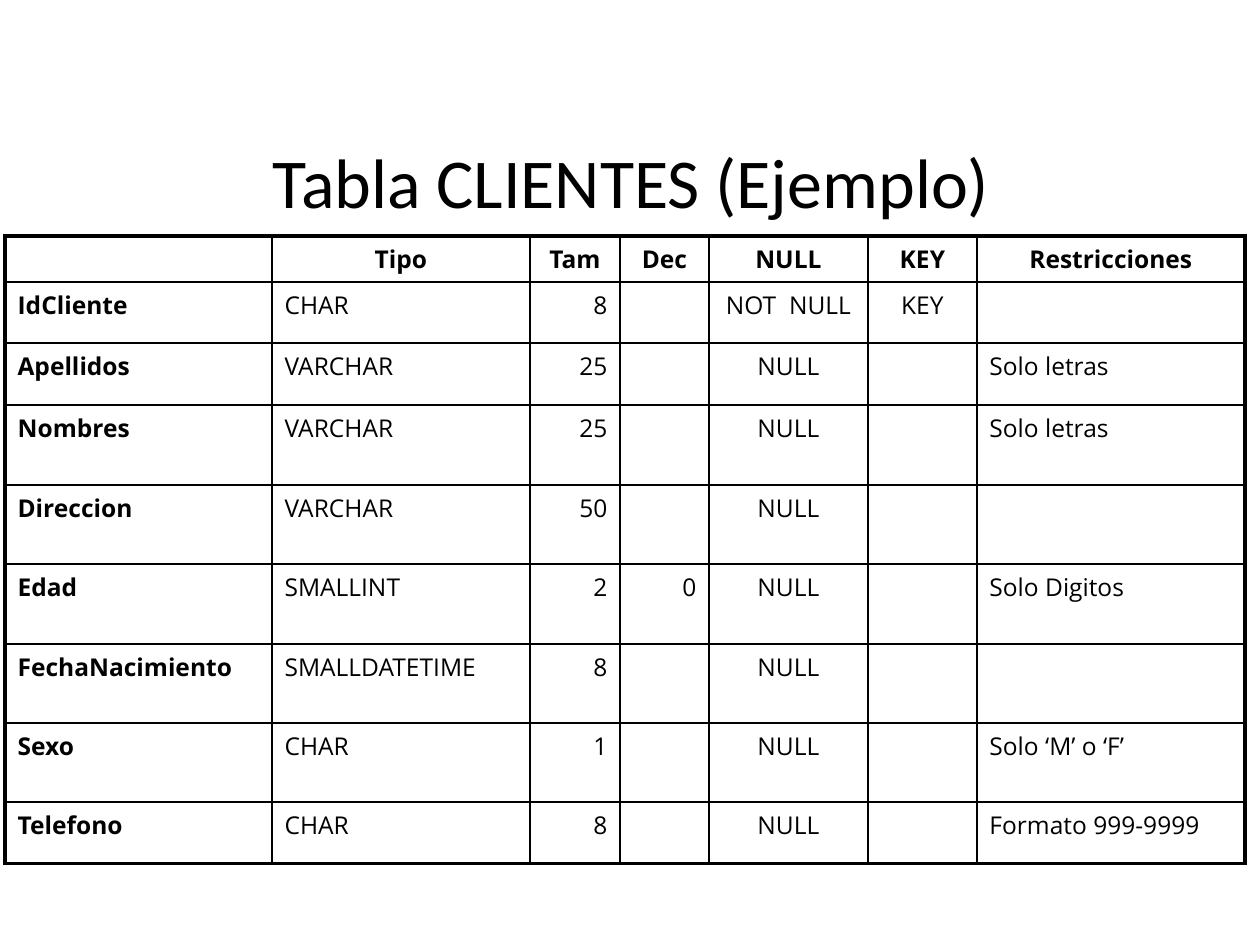
from pptx import Presentation
from pptx import util as u
from pptx.dml.color import RGBColor
from pptx.enum import text
from pptx.oxml import parse_xml
from pptx.oxml.ns import nsdecls

# Content
TITLE = "Tabla CLIENTES (Ejemplo)"
HEADER = ("", "Tipo", "Tam", "Dec", "NULL", "KEY", "Restricciones")
FIELDS = [
    ("IdCliente", "CHAR", "8", "", "NOT  NULL", "KEY", ""),
    ("Apellidos", "VARCHAR", "25", "", "NULL", "", "Solo letras"),
    ("Nombres", "VARCHAR", "25", "", "NULL", "", "Solo letras"),
    ("Direccion", "VARCHAR", "50", "", "NULL", "", ""),
    ("Edad", "SMALLINT", "2", "0", "NULL", "", "Solo Digitos"),
    ("FechaNacimiento", "SMALLDATETIME", "8", "", "NULL", "", ""),
    ("Sexo", "CHAR", "1", "", "NULL", "", "Solo ‘M’ o ‘F’"),
    ("Telefono", "CHAR", "8", "", "NULL", "", "Formato 999-9999"),
]
ROWS = [HEADER] + FIELDS

# Layout in pixels
COL_WIDTHS = (267, 258, 90, 89, 159, 109, 268)
ROW_HEIGHTS = (45, 61, 62, 80, 79, 80, 79, 79, 62)
TABLE_LEFT, TABLE_TOP = 5, 236
TITLE_BOX = {"left": 64, "top": 107, "width": 1134, "height": 147}

# Formats
BLACK = "000000"
THIN, THICK = 1, 2.25
TABLE_SIZE = 14
TABLE_FONT = "Open Sans"
LEFT, CENTER, RIGHT = (text.PP_ALIGN.LEFT, text.PP_ALIGN.CENTER,
                       text.PP_ALIGN.RIGHT)
COL_ALIGN = (LEFT, LEFT, RIGHT, RIGHT, CENTER, CENTER, LEFT)


def px(n):
    return u.Emu(round(n * 914400 / 126))


def color(value):
    return RGBColor.from_string(value)


def set_attrs(obj, values):
    for name, value in values.items():
        setattr(obj, name, value)


def write(p, content, align, name, size, bold=False):
    p.alignment = align
    r = p.add_run()
    r.text = content
    set_attrs(r.font, {"name": name, "size": u.Pt(size), "bold": bold})
    r.font.color.rgb = color(BLACK)


def set_borders(cell, widths):
    tcPr = cell._tc.get_or_add_tcPr()
    for i, (side, width) in enumerate(widths.items()):
        tcPr.insert(i, parse_xml(
            f'<a:ln{side} {nsdecls("a")} w="{u.Pt(width)}"><a:solidFill>'
            f'<a:srgbClr val="{BLACK}"/></a:solidFill></a:ln{side}>'))


prs = Presentation()
set_attrs(prs, {"slide_width": px(1260), "slide_height": px(945)})
s = prs.slides.add_slide(prs.slide_layouts[5])

# Title
title = s.shapes.title
set_attrs(title, {k: px(v) for k, v in TITLE_BOX.items()})
tf = title.text_frame
tf.vertical_anchor = text.MSO_ANCHOR.MIDDLE
write(tf.paragraphs[0], TITLE, CENTER, "Calibri", 40)

# Table grid
table = s.shapes.add_table(
    len(ROWS), len(HEADER), px(TABLE_LEFT), px(TABLE_TOP),
    px(sum(COL_WIDTHS)), px(sum(ROW_HEIGHTS))).table
set_attrs(table, {"first_row": False, "horz_banding": False})
for col, width in zip(table.columns, COL_WIDTHS):
    col.width = px(width)
for row, height in zip(table.rows, ROW_HEIGHTS):
    row.height = px(height)

# Cells: thick outer frame, thin inner lines
last_row, last_col = len(ROWS) - 1, len(HEADER) - 1
for i, values in enumerate(ROWS):
    for j, value in enumerate(values):
        cell = table.cell(i, j)
        cell.fill.background()
        edges = {"L": j == 0, "R": j == last_col,
                 "T": i == 0, "B": i == last_row}
        set_borders(cell, {side: THICK if outer else THIN
                           for side, outer in edges.items()})
        p = cell.text_frame.paragraphs[0]
        if value:
            write(p, value, CENTER if i == 0 else COL_ALIGN[j],
                  TABLE_FONT, TABLE_SIZE, i == 0 or j == 0)
        else:
            p._p.append(parse_xml(
                f'<a:endParaRPr {nsdecls("a")} sz="{TABLE_SIZE * 100}"/>'))

prs.save("out.pptx")
